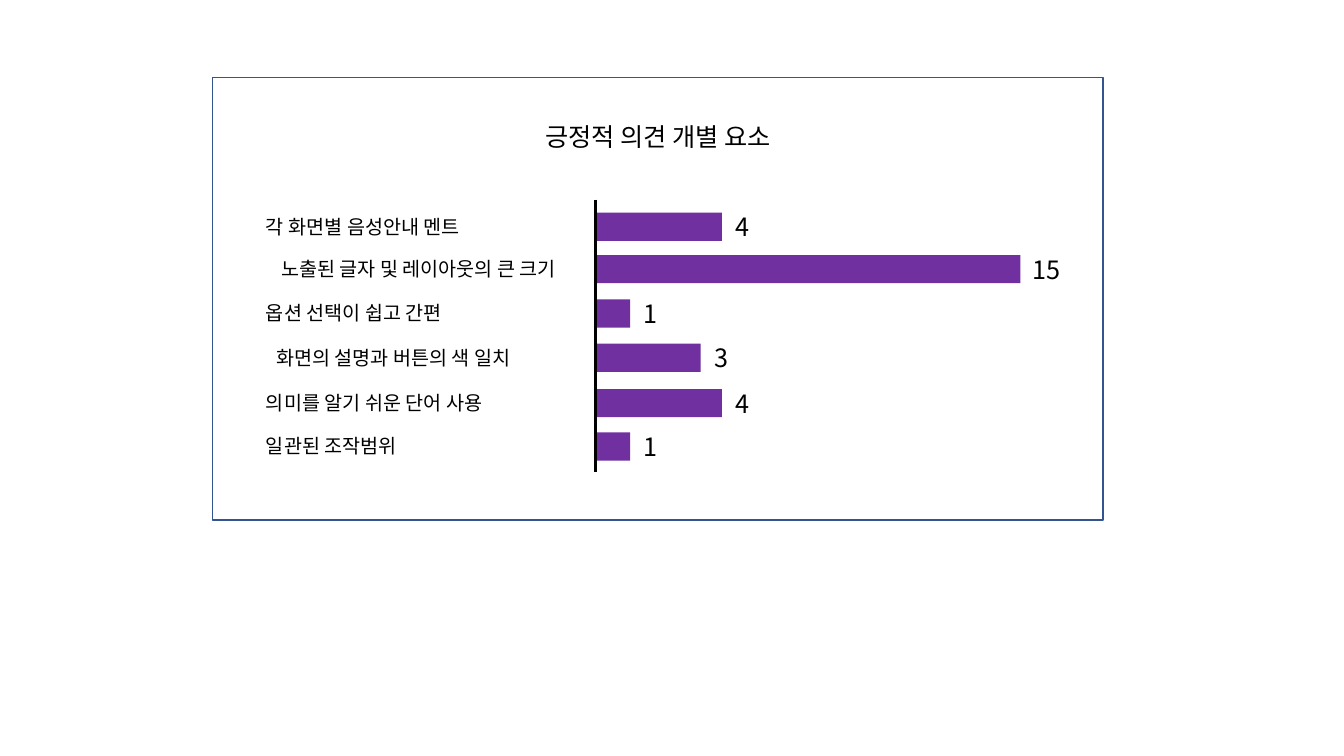
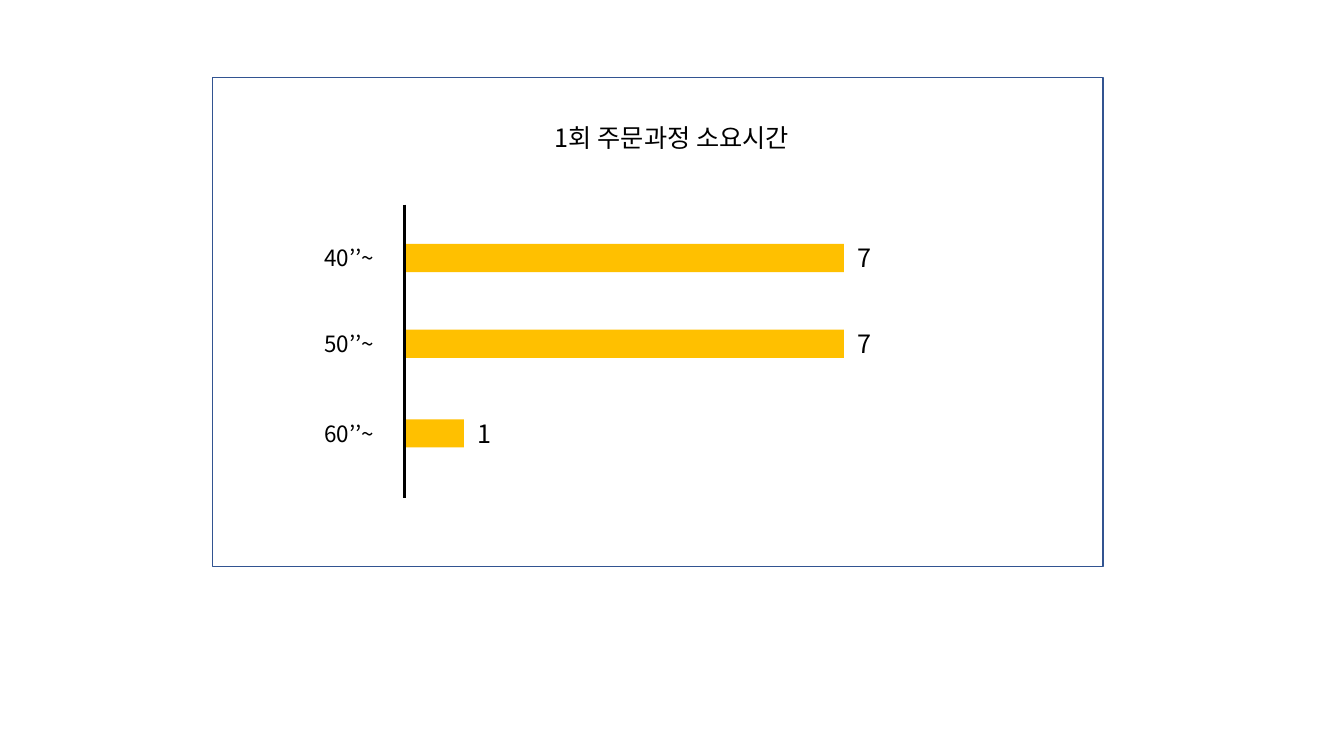
from lxml import etree
from pptx import Presentation, util as u
from pptx.dml.color import RGBColor
from pptx.enum import shapes, text
from pptx.oxml import ns


def color(code):
    return RGBColor.from_string(code)


class Deck:
    """Hold the shared style and the slide being drawn."""

    font = "Noto Sans CJK KR"
    ink = "000000"
    edge = "325491"
    thick = 0.28
    big = 18

    def __init__(self):
        self.prs = Presentation()
        self.prs.slide_width = u.Inches(13.33)
        self.prs.slide_height = u.Inches(7.5)
        self.slide = None

    def start(self):
        self.slide = self.prs.slides.add_slide(self.prs.slide_layouts[5])

    def height(self, size):
        return 0.13 + 0.015 * size

    def style(self, shape, words, size, align):
        frame = shape.text_frame
        frame.text = words
        frame.word_wrap = True
        frame.auto_size = text.MSO_AUTO_SIZE.NONE
        frame.vertical_anchor = text.MSO_ANCHOR.TOP
        para = frame.paragraphs[0]
        para.alignment = align
        for run in para.runs:
            font = run.font
            font.name = self.font
            font.size = u.Pt(size)
            font.color.rgb = color(self.ink)
            latin = font._element.find(ns.qn("a:latin"))
            east = etree.Element(ns.qn("a:ea"), typeface=self.font)
            latin.addnext(east)

    def title(self, words, left, top):
        shape = self.slide.shapes.title
        shape.left, shape.top = u.Inches(left), u.Inches(top)
        shape.width = u.Inches(5.31)
        shape.height = u.Inches(self.height(self.big))
        self.style(shape, words, self.big, text.PP_ALIGN.CENTER)

    def label(self, words, left, mid, width, size, align=text.PP_ALIGN.LEFT):
        tall = self.height(size)
        box = self.slide.shapes.add_textbox(
            u.Inches(left), u.Inches(mid - tall / 2), u.Inches(width), u.Inches(tall))
        self.style(box, words, size, align)

    def rect(self, left, top, width, height, fill=None):
        box = self.slide.shapes.add_shape(
            shapes.MSO_SHAPE.RECTANGLE,
            u.Inches(left), u.Inches(top), u.Inches(width), u.Inches(height))
        box.shadow.inherit = False
        if fill:
            box.fill.solid()
            box.fill.fore_color.rgb = color(fill)
            box.line.fill.background()
        else:
            box.fill.background()
            box.line.color.rgb = color(self.edge)
            box.line.width = u.Pt(1)

    def panel(self, height):
        self.rect(2.11, 0.77, 8.83, height)

    def bar(self, axis, top, width, value, fill):
        self.rect(axis, top, width, self.thick, fill)
        room = 0.3 + 0.11 * len(value)
        self.label(value, axis + width, top + self.thick / 2, room,
                   self.big, text.PP_ALIGN.CENTER)

    def axis(self, left, top, end):
        line = self.slide.shapes.add_connector(
            shapes.MSO_CONNECTOR.STRAIGHT,
            u.Inches(left), u.Inches(top), u.Inches(left), u.Inches(end))
        line.line.color.rgb = color(self.ink)
        line.line.width = u.Pt(2.25)
        etree.SubElement(line._element.spPr, ns.qn("a:effectLst"))

    def chart(self, rows, axis, span, size, fill):
        for words, left, top, width, value in rows:
            self.label(words, left, top + self.thick / 2, axis - left, size)
            self.bar(axis, top, width, value, fill)
        self.axis(axis, *span)


PRAISE = [
    ("각 화면별 음성안내 멘트", 2.54, 2.11, 1.25, "4"),
    ("노출된 글자 및 레이아웃의 큰 크기", 2.69, 2.53, 4.21, "15"),
    ("옵션 선택이 쉽고 간편", 2.54, 2.97, 0.34, "1"),
    ("화면의 설명과 버튼의 색 일치", 2.64, 3.41, 1.04, "3"),
    ("의미를 알기 쉬운 단어 사용", 2.54, 3.86, 1.25, "4"),
    ("일관된 조작범위", 2.54, 4.29, 0.34, "1"),
]
TIMES = [
    ("40’’~", 3.12, 2.42, 4.36, "7"),
    ("50’’~", 3.12, 3.27, 4.36, "7"),
    ("60’’~", 3.12, 4.16, 0.59, "1"),
]


def main():
    deck = Deck()

    deck.start()
    deck.panel(4.39)
    deck.title("긍정적 의견 개별 요소", 3.87, 1.15)
    deck.chart(PRAISE, 5.91, (1.98, 4.68), 14, "7030A0")

    deck.start()
    deck.panel(4.85)
    deck.title("1회 주문과정 소요시간", 4.01, 1.16)
    deck.chart(TIMES, 4.01, (2.03, 4.94), 16, "FFC000")

    deck.prs.save("out.pptx")


if __name__ == "__main__":
    main()
